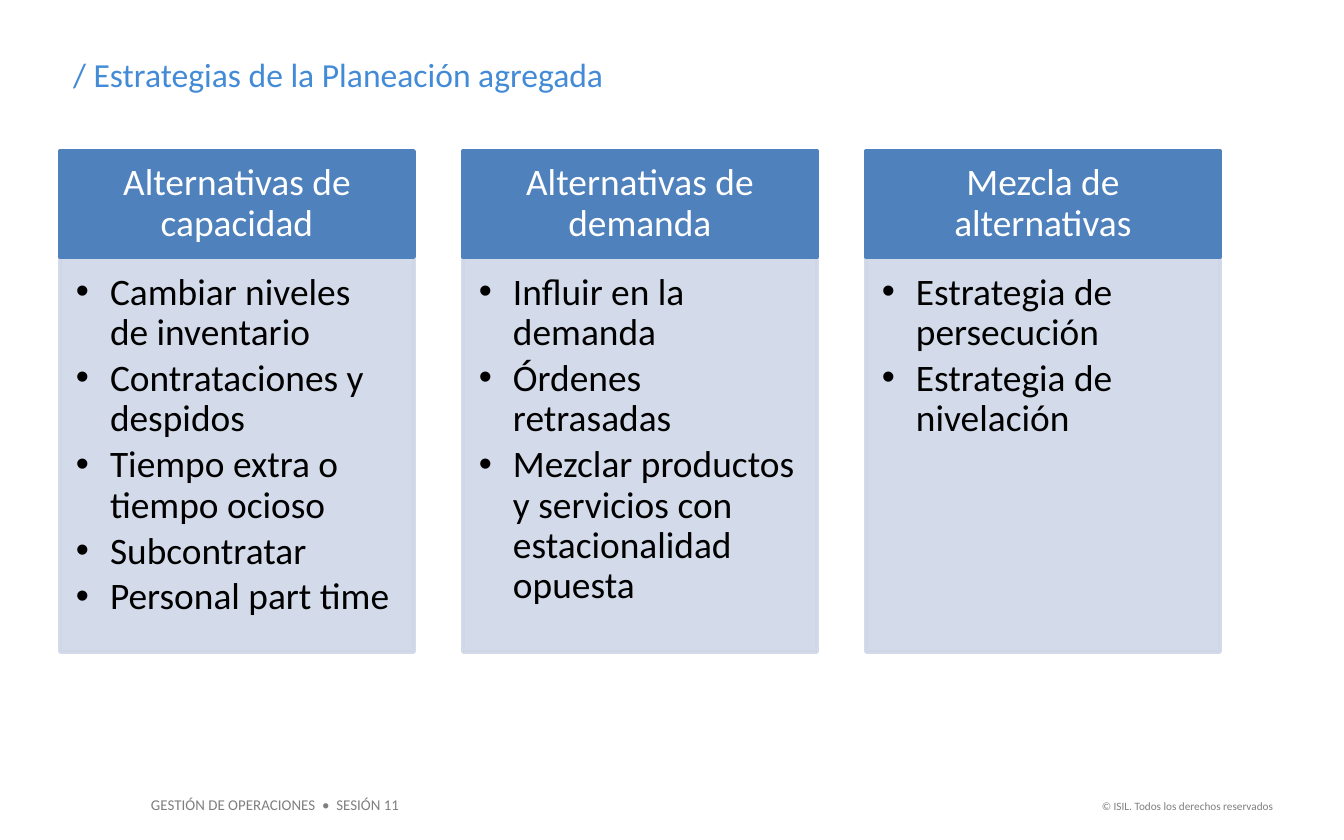
from lxml import etree
from pptx import Presentation, util as u
from pptx.dml.color import RGBColor
from pptx.enum import shapes, text
from pptx.oxml.ns import qn

SCALE = 914400 / 134.4  # EMU per px
BLUE, PALE, GREY = "4F81BD", "CFD7E7", "7F7F7F"
LEFT, CENTER, RIGHT = text.PP_ALIGN.LEFT, text.PP_ALIGN.CENTER, text.PP_ALIGN.RIGHT
TOP, MIDDLE = text.MSO_ANCHOR.TOP, text.MSO_ANCHOR.MIDDLE


def px(n):
    return u.Emu(round(n * SCALE))


def rgb(color):
    return RGBColor.from_string(color)


def assign(obj, values):
    for name, value in values.items():
        setattr(obj, name, value)


class Deck:
    font = "Calibri"
    insets = (13, 7, 13, 7)

    def __init__(self, width, height):
        self.prs = Presentation()
        assign(self.prs, {"slide_width": px(width), "slide_height": px(height)})

    def new_slide(self, layout):
        self.s = self.prs.slides.add_slide(self.prs.slide_layouts[layout])
        self.bodies = [sp for sp in self.s.placeholders if sp != self.s.shapes.title]

    def place(self, sp, box):
        assign(sp, dict(zip(("left", "top", "width", "height"), map(px, box))))

    def paint(self, sp, color, alpha=None):
        sp.fill.solid()
        sp.fill.fore_color.rgb = rgb(color)
        sp.line.color.rgb = rgb(color)
        sp.line.width = u.Pt(2)
        if alpha:
            for clr in sp._element.spPr.iter(qn("a:srgbClr")):
                etree.SubElement(clr, qn("a:alpha"), val=str(alpha * 1000))

    def bullet(self, p):
        pPr = p._p.get_or_add_pPr()
        pPr.set("marL", str(px(34)))
        pPr.set("indent", str(-px(34)))
        clr = etree.SubElement(pPr, qn("a:buClr"))
        etree.SubElement(clr, qn("a:srgbClr"), val="000000")
        etree.SubElement(pPr, qn("a:buFont"), typeface="Arial")
        etree.SubElement(pPr, qn("a:buChar"), char="•")

    def fill_text(self, sp, lines, size, color, align=LEFT, anchor=TOP,
                  insets=insets, spacing=1.0, bullets=False):
        tf = sp.text_frame
        sides = ("margin_left", "margin_top", "margin_right", "margin_bottom")
        assign(tf, dict(zip(sides, map(px, insets))))
        assign(tf, {"word_wrap": True, "auto_size": text.MSO_AUTO_SIZE.NONE,
                    "vertical_anchor": anchor})
        for i, line in enumerate(lines):
            p = tf.add_paragraph() if i else tf.paragraphs[0]
            if bullets:
                p.level = 1
                self.bullet(p)
            assign(p, {"alignment": align, "line_spacing": spacing,
                       "space_before": u.Pt(3 if i else 0)})
            r = p.add_run()
            r.text = line
            assign(r.font, {"name": self.font, "size": u.Pt(size), "bold": False})
            r.font.color.rgb = rgb(color)

    def title(self, box, line):
        sp = self.s.shapes.title
        self.place(sp, box)
        self.fill_text(sp, [line], 18, "438AD7")

    def label(self, box, line, size, align=LEFT):
        sp = self.s.shapes.add_textbox(*map(px, box))
        self.fill_text(sp, [line], size, GREY, align)

    def header(self, box, line):
        sp = self.s.shapes.add_shape(shapes.MSO_SHAPE.RECTANGLE, *map(px, box))
        sp.shadow.inherit = False
        self.paint(sp, BLUE)
        self.fill_text(sp, [line], 20, "FFFFFF", CENTER, MIDDLE, (21, 12, 21, 12), 0.9)

    def list_panel(self, box, lines):
        sp = self.bodies.pop(0)
        self.place(sp, box)
        self.paint(sp, PALE, 90)
        self.fill_text(sp, lines, 20, "000000", insets=(16, 16, 21, 23),
                       spacing=0.9, bullets=True)

    def finish_slide(self):
        for sp in self.bodies:
            sp._element.getparent().remove(sp._element)


COLUMNS = {
    "Alternativas de capacidad": [
        "Cambiar niveles de inventario", "Contrataciones y despidos",
        "Tiempo extra o tiempo ocioso", "Subcontratar", "Personal part time"],
    "Alternativas de demanda": [
        "Influir en la demanda", "Órdenes retrasadas",
        "Mezclar productos y servicios con estacionalidad opuesta"],
    "Mezcla de alternativas": [
        "Estrategia de persecución", "Estrategia de nivelación"],
}


def main():
    deck = Deck(1344, 840)
    deck.new_slide(4)  # Comparison: a title and four bodies

    # Title
    deck.title((60, 47, 1059, 54), "/ Estrategias de la Planeación agregada")

    # Three columns, each a header above a list
    for i, (name, items) in enumerate(COLUMNS.items()):
        x = 60 + 403 * i
        deck.header((x, 151, 354, 106), name)
        deck.list_panel((x, 257, 354, 395), items)

    # Footer
    deck.label((138, 789, 276, 32), "GESTIÓN DE OPERACIONES  •  SESIÓN 11", 8)
    deck.label((1079, 792, 207, 27), "© ISIL. Todos los derechos reservados", 6, RIGHT)

    deck.finish_slide()
    deck.prs.save("out.pptx")


if __name__ == "__main__":
    main()
